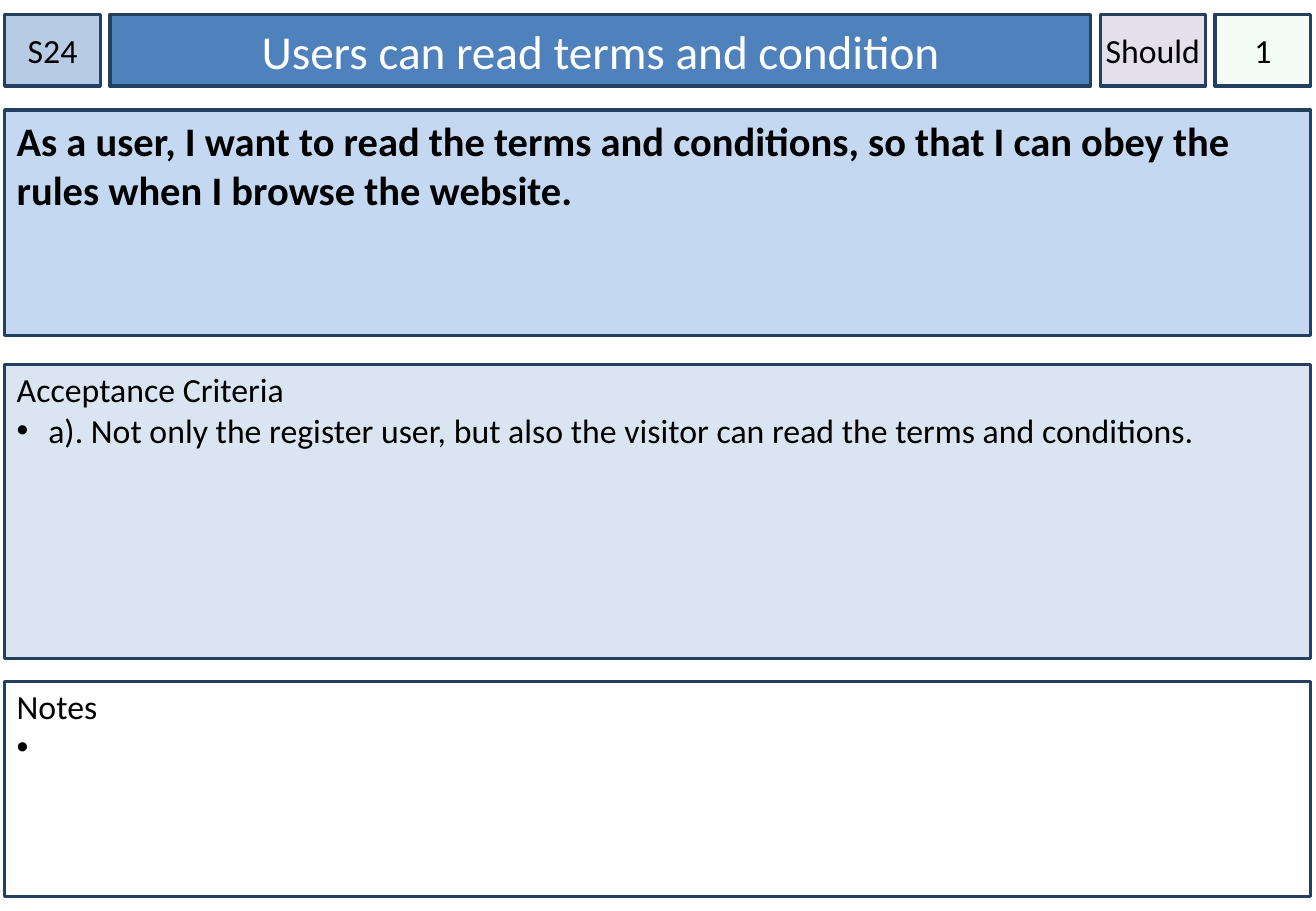
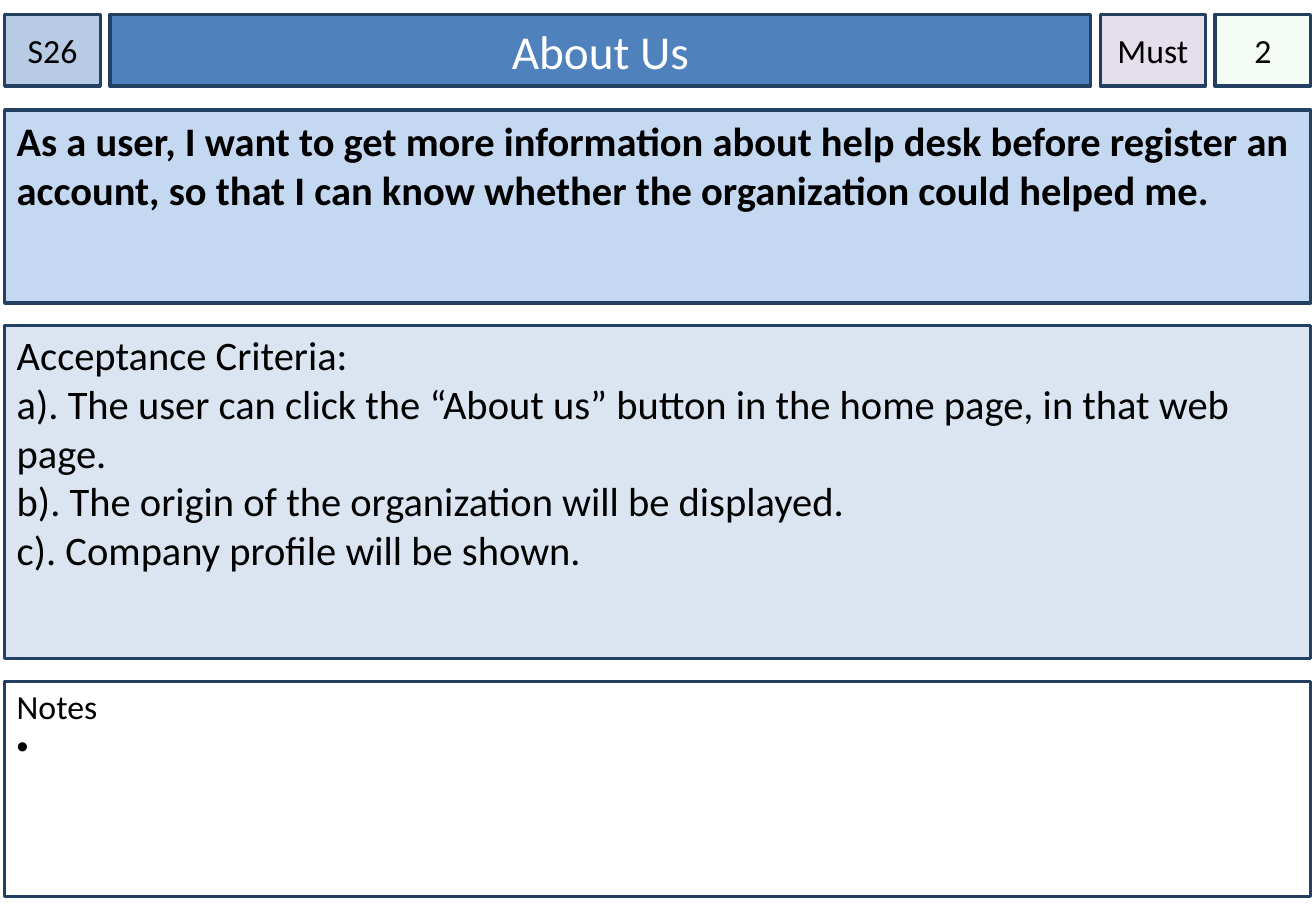
from lxml import etree
from pptx import Presentation
from pptx.dml.color import RGBColor
from pptx.enum.shapes import MSO_SHAPE
from pptx.enum.text import MSO_ANCHOR, MSO_AUTO_SIZE, PP_ALIGN
from pptx.oxml.ns import qn
from pptx.util import Cm, Pt

RECTANGLE = MSO_SHAPE.RECTANGLE
TOP, MIDDLE = MSO_ANCHOR.TOP, MSO_ANCHOR.MIDDLE
LEFT, CENTER = PP_ALIGN.LEFT, PP_ALIGN.CENTER
NO_AUTOFIT = MSO_AUTO_SIZE.NONE

# Shared look
FONT = "Calibri"
BLACK, WHITE, NAVY = "000000", "FFFFFF", "244061"
ID_FILL, TITLE_FILL, PRIORITY_FILL, POINTS_FILL = "B7CCE4", "4F81BD", "E5DFEC", "CCF0CD"
STORY_FILL, CRITERIA_FILL = "C5D8F1", "DAE5F1"

# Shared grid, in centimetres
SLIDE_WIDTH, SLIDE_HEIGHT = 27.51, 19.05
MARGIN, GAP = 0.1, 0.2
HEADER_TOP, HEADER_HEIGHT = 0.3, 1.5
HEADER_WIDTHS = (2, 20.5, 2.2, 2)
PANEL_WIDTH = sum(HEADER_WIDTHS) + GAP * (len(HEADER_WIDTHS) - 1)
STORY_TOP, CRITERIA_BOTTOM = 2.3, 13.77
NOTES_TOP, NOTES_HEIGHT = 14.25, 4.5
BULLET_INDENT = 0.66

CARDS = [
    {
        "id": "S24", "title": "Users can read terms and condition",
        "priority": "Should", "points": "1",
        "story": "As a user, I want to read the terms and conditions, "
                 "so that I can obey the rules when I browse the website.",
        "story_height": 4.72, "criteria_top": 7.62,
        "criteria": ["Acceptance Criteria",
                     "a). Not only the register user, but also the visitor "
                     "can read the terms and conditions."],
        "criteria_size": 20, "criteria_bulleted": True,
    },
    {
        "id": "S26", "title": "About Us",
        "priority": "Must", "points": "2",
        "story": "As a user, I want to get more information about help desk before "
                 "register an account, so that I can know whether the organization "
                 "could helped me.",
        "story_height": 4.04, "criteria_top": 6.81,
        "criteria": ["Acceptance Criteria:",
                     "a). The user can click the “About us” button in the home page, "
                     "in that web page.",
                     "b). The origin of the organization will be displayed.",
                     "c). Company profile will be shown."],
        "criteria_size": 24, "criteria_bulleted": False,
    },
]


def color(hex_value):
    return RGBColor.from_string(hex_value)


def set_bullet(paragraph, bulleted):
    """Give the paragraph a hanging bullet, or clear an inherited one."""
    properties = paragraph._p.get_or_add_pPr()
    indent = Cm(BULLET_INDENT) if bulleted else 0
    properties.set("marL", str(indent))
    properties.set("indent", str(-indent))
    if bulleted:
        etree.SubElement(properties, qn("a:buFont")).set("typeface", "Arial")
        etree.SubElement(properties, qn("a:buChar")).set("char", "•")
    else:
        etree.SubElement(properties, qn("a:buNone"))


def write_text(shape, lines, size=20, text_color=BLACK, bold=False, align=LEFT,
               anchor=TOP, side_inset=0.25, top_inset=0.13, bulleted=False):
    """Fill a shape with paragraphs; bullets start after the heading line."""
    frame = shape.text_frame
    frame.word_wrap = True
    frame.auto_size = NO_AUTOFIT
    frame.vertical_anchor = anchor
    frame.margin_left = frame.margin_right = Cm(side_inset)
    frame.margin_top, frame.margin_bottom = Cm(top_inset), Cm(0.13)
    for index, line in enumerate(lines):
        paragraph = frame.paragraphs[0] if index == 0 else frame.add_paragraph()
        set_bullet(paragraph, bulleted and index > 0)
        paragraph.alignment = align
        paragraph.space_before = Pt(0)
        run = paragraph.add_run()
        run.text = line
        run.font.name = FONT
        run.font.size = Pt(size)
        run.font.bold = bold
        run.font.color.rgb = color(text_color)


def style_box(shape, left, top, width, height, fill, opacity=100):
    shape.left, shape.top = Cm(left), Cm(top)
    shape.width, shape.height = Cm(width), Cm(height)
    shape.fill.solid()
    shape.fill.fore_color.rgb = color(fill)
    if opacity < 100:
        fill_color = shape._element.spPr.find(qn("a:solidFill"))[0]
        etree.SubElement(fill_color, qn("a:alpha")).set("val", str(opacity * 1000))
    shape.line.color.rgb = color(NAVY)
    shape.line.width = Pt(2)


def add_box(slide, left, top, width, height, fill, lines, opacity=100, **text_format):
    shape = slide.shapes.add_shape(RECTANGLE, 0, 0, 0, 0)
    shape.shadow.inherit = False
    style_box(shape, left, top, width, height, fill, opacity)
    write_text(shape, lines, **text_format)


def add_header(slide, card):
    """Identifier, title, priority and points in one row."""
    lefts = [MARGIN + sum(HEADER_WIDTHS[:i]) + GAP * i for i in range(len(HEADER_WIDTHS))]
    cells = [(left, HEADER_TOP, width, HEADER_HEIGHT)
             for left, width in zip(lefts, HEADER_WIDTHS)]
    id_cell, title_cell, priority_cell, points_cell = cells

    style_box(slide.shapes.title, *title_cell, TITLE_FILL)
    write_text(slide.shapes.title, [card["title"]], size=28, text_color=WHITE,
               align=CENTER, anchor=MIDDLE)
    for cell, fill, key, opacity in ((id_cell, ID_FILL, "id", 100),
                                     (priority_cell, PRIORITY_FILL, "priority", 100),
                                     (points_cell, POINTS_FILL, "points", 20)):
        add_box(slide, *cell, fill, [card[key]], opacity=opacity,
                align=CENTER, anchor=MIDDLE, side_inset=0)


def add_card(presentation, card):
    slide = presentation.slides.add_slide(presentation.slide_layouts[1])
    add_header(slide, card)

    # User story
    add_box(slide, MARGIN, STORY_TOP, PANEL_WIDTH, card["story_height"], STORY_FILL,
            [card["story"]], size=24, bold=True)

    # Acceptance criteria
    criteria = slide.placeholders[1]
    style_box(criteria, MARGIN, card["criteria_top"], PANEL_WIDTH,
              CRITERIA_BOTTOM - card["criteria_top"], CRITERIA_FILL)
    write_text(criteria, card["criteria"], size=card["criteria_size"], top_inset=0.1,
               bulleted=card["criteria_bulleted"])

    # Notes, with one open bullet
    add_box(slide, MARGIN, NOTES_TOP, PANEL_WIDTH, NOTES_HEIGHT, WHITE,
            ["Notes", " "], top_inset=0.1, bulleted=True)


def main():
    presentation = Presentation()
    presentation.slide_width, presentation.slide_height = Cm(SLIDE_WIDTH), Cm(SLIDE_HEIGHT)
    for card in CARDS:
        add_card(presentation, card)
    presentation.save("out.pptx")


if __name__ == "__main__":
    main()
